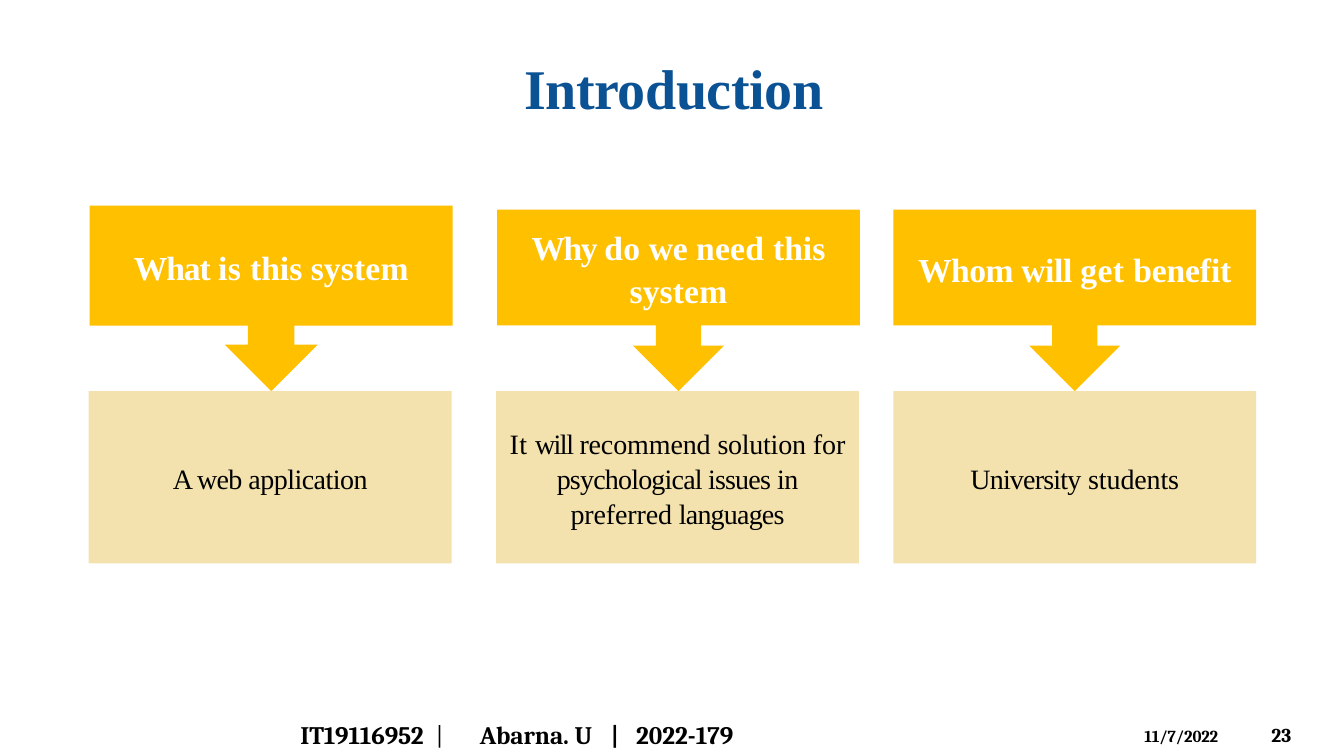
from pptx import Presentation
from pptx.dml.color import RGBColor
from pptx.enum.shapes import MSO_SHAPE
from pptx.enum.text import MSO_ANCHOR, PP_ALIGN
from pptx.oxml.ns import qn
from pptx.util import Inches, Pt
from lxml import etree

CALLOUT, RECTANGLE = MSO_SHAPE.DOWN_ARROW_CALLOUT, MSO_SHAPE.RECTANGLE
TOP, MIDDLE = MSO_ANCHOR.TOP, MSO_ANCHOR.MIDDLE
LEFT, CENTER = PP_ALIGN.LEFT, PP_ALIGN.CENTER

COLORS = {"blue": "0A5294", "gold": "FFC000", "sand": "EFD994",
          "white": "FFFFFF", "black": "000000"}

# Text styles
SERIF, FOOTER_FONT = "Times New Roman", "Cambria"
TITLE = {"name": SERIF, "size": Pt(40), "bold": True, "color": "blue"}
HEADING = {"name": SERIF, "size": Pt(24), "bold": True, "color": "white"}
BODY = {"name": SERIF, "size": Pt(20), "bold": False, "color": "black"}
FOOTER = {"name": FOOTER_FONT, "size": Pt(18), "bold": True, "color": "black"}
FOOTER_BAR = {**FOOTER, "bold": False}
NUMBER = {**FOOTER, "size": Pt(14)}
DATE = {**FOOTER, "size": Pt(12)}

# Each line is a list of (text, letter spacing in points)
COLUMNS = [
    {"left": 0.89, "top": 2.04, "card_left": 0.88,
     "heading": [[("What ", -0.8), ("is ", 0.3), ("this ", 0), ("system", 0.1)]],
     "body": [[("A ", -0.9), ("web ", -0.6), ("application", -0.4)]]},
    {"left": 4.93, "top": 2.08, "card_left": 4.92,
     "heading": [[("Why ", -1.1), ("do ", 0.1), ("we ", -0.1), ("need ", 0.2), ("this", 0)],
                 [("system", 0.1)]],
     "body": [[("It ", 0.3), ("will ", -1.1), ("recommend ", -0.1),
               ("solution ", -0.2), ("for", 0)],
              [("psychological issues ", -0.6), ("in", -0.4)],
              [("preferred ", -0.1), ("languages", -0.6)]]},
    {"left": 8.86, "top": 2.08, "card_left": 8.86,
     "heading": [[("Whom ", -0.4), ("will ", -0.3), ("get ", 0.3), ("benefit", -0.1)]],
     "body": [[("University", -0.6), (" students", -0.1)]]},
]

# Left, top, width, height, style, line, tab stops
LABELS = [
    (5.2, 0.53, 3.01, 0.69, TITLE, [("Introduction", -0.3)], []),
    (2.98, 7.14, 1.4, 0.32, FOOTER, [("IT19116952 ", -0.1)], []),
    (4.32, 7.14, 0.2, 0.32, FOOTER_BAR, [("|", 0)], []),
    (4.76, 7.14, 2.69, 0.32, FOOTER, [("Abarna", -0.05), (". U\t|\t2022-179", 0)], [1.3, 1.55]),
    (12.61, 7.17, 0.31, 0.26, NUMBER, [("23", 0)], []),
    (11.35, 7.2, 0.89, 0.22, DATE, [("11/7/2022", -0.1)], []),
]
BOX_WIDTH, CARD_TOP, CARD_HEIGHT = 3.6, 3.88, 1.71
BOX_BOTTOM = 3.23
ARROW_RATIO = 0.25


def write(shape, lines, style, align, anchor, spacing=1.0):
    frame = shape.text_frame
    formats = {"word_wrap": align == CENTER, "vertical_anchor": anchor,
               "margin_left": 0, "margin_right": 0, "margin_top": 0, "margin_bottom": 0}
    for name, value in formats.items():
        setattr(frame, name, value)
    paragraph = frame.paragraphs[0]
    paragraph.alignment = align
    paragraph.line_spacing = spacing
    for index, line in enumerate(lines):
        if index:
            paragraph.add_line_break()
        for text, letter_spacing in line:
            run = paragraph.add_run()
            run.text = text
            for name in ("name", "size", "bold"):
                setattr(run.font, name, style[name])
            run.font.color.rgb = RGBColor.from_string(COLORS[style["color"]])
            run.font._element.set("spc", str(round(letter_spacing * 100)))
    return paragraph


def add_filled(slide, kind, left, top, height, color):
    shape = slide.shapes.add_shape(
        kind, Inches(left), Inches(top), Inches(BOX_WIDTH), Inches(height))
    shape.shadow.inherit = False
    shape.fill.solid()
    shape.fill.fore_color.rgb = RGBColor.from_string(COLORS[color])
    shape.line.fill.background()
    return shape


def add_column(slide, column):
    # Heading with its arrow
    height = CARD_TOP - column["top"]
    callout = add_filled(slide, CALLOUT, column["left"], column["top"], height, "gold")
    for index in range(3):
        callout.adjustments[index] = ARROW_RATIO
    callout.adjustments[3] = (BOX_BOTTOM - column["top"]) / height
    write(callout, column["heading"], HEADING, CENTER, MIDDLE, 1.06)

    # Answer card
    card = add_filled(slide, RECTANGLE, column["card_left"], CARD_TOP, CARD_HEIGHT, "sand")
    color = card.fill._xPr.find(".//" + qn("a:srgbClr"))
    etree.SubElement(color, qn("a:alpha"), val="75000")
    write(card, column["body"], BODY, CENTER, MIDDLE, 1.04)


def add_label(slide, left, top, width, height, style, line, tab_stops):
    box = slide.shapes.add_textbox(
        Inches(left), Inches(top), Inches(width), Inches(height))
    paragraph = write(box, [line], style, LEFT, TOP)
    if tab_stops:
        tab_list = etree.SubElement(paragraph._p.get_or_add_pPr(), qn("a:tabLst"))
        for stop in tab_stops:
            etree.SubElement(tab_list, qn("a:tab"), pos=str(Inches(stop)), algn="l")


def main():
    presentation = Presentation()
    presentation.slide_width = Inches(13.33)
    presentation.slide_height = Inches(7.5)
    slide = presentation.slides.add_slide(presentation.slide_layouts[6])
    for column in COLUMNS:
        add_column(slide, column)
    # Title and footer
    for label in LABELS:
        add_label(slide, *label)
    presentation.save("out.pptx")


if __name__ == "__main__":
    main()
